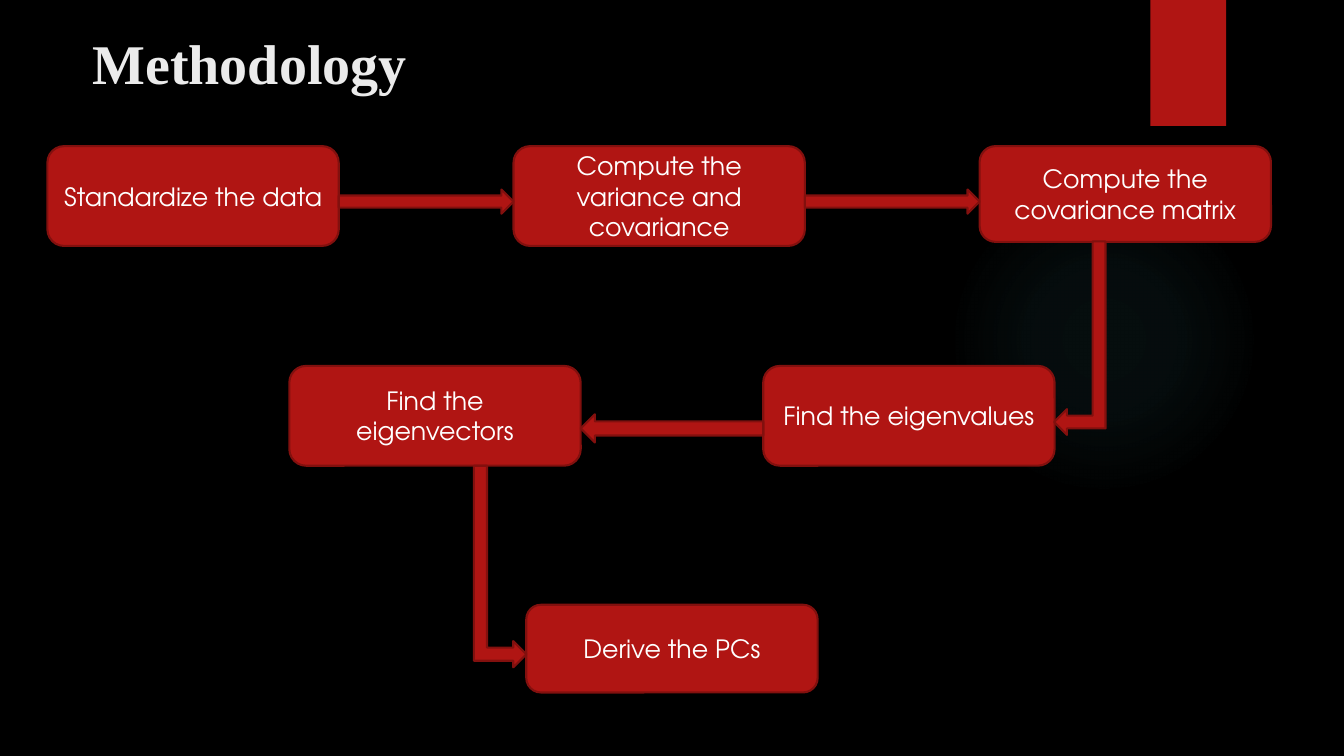
from lxml.etree import fromstring
from pptx import Presentation
from pptx.dml.color import RGBColor
from pptx.enum.shapes import MSO_SHAPE
from pptx.enum.text import MSO_ANCHOR, PP_ALIGN
from pptx.util import Inches, Pt

BLACK = RGBColor(0x00, 0x00, 0x00)
RED = RGBColor(0xB0, 0x15, 0x13)
DARK_RED = RGBColor(0x82, 0x10, 0x0E)
WHITE = RGBColor(0xFF, 0xFF, 0xFF)
PALE_GREY = RGBColor(0xEB, 0xEB, 0xEB)
GLOW_TEAL = RGBColor(0x50, 0xB9, 0xC1)

deck = Presentation()
deck.slide_width, deck.slide_height = Inches(13.33), Inches(7.5)
slide = deck.slides.add_slide(deck.slide_layouts[6])
slide.background.fill.solid()
slide.background.fill.fore_color.rgb = BLACK

# Grid of 100 columns by 100 rows
COLUMN, ROW = deck.slide_width / 100, deck.slide_height / 100


def grid(left, top, width, height):
    return [round(n * unit) for n, unit in
            zip((left, top, width, height), (COLUMN, ROW, COLUMN, ROW))]


def add_red(kind, left, top, width, height, outlined=True):
    shape = slide.shapes.add_shape(kind, *grid(left, top, width, height))
    shape.shadow.inherit = False
    shape.fill.solid()
    shape.fill.fore_color.rgb = RED
    if outlined:
        shape.line.color.rgb = DARK_RED
        shape.line.width = Pt(1.5)
    else:
        shape.line.fill.background()
    return shape


# Soft round glow: stops are (position, opacity) in percent
glow = add_red(MSO_SHAPE.OVAL, 70.59, 24.4, 23.11, 41.07, outlined=False)
stops = "".join(
    f'<a:gs pos="{position * 1000}"><a:srgbClr val="{GLOW_TEAL}">'
    f'<a:alpha val="{opacity * 1000}"/></a:srgbClr></a:gs>'
    for position, opacity in ((0, 7), (36, 6), (69, 0), (100, 0)))
gradient = fromstring(
    '<a:gradFill xmlns:a="http://schemas.openxmlformats.org/drawingml/2006/main">'
    f'<a:gsLst>{stops}</a:gsLst><a:path path="circle">'
    '<a:fillToRect l="50000" t="50000" r="50000" b="50000"/></a:path></a:gradFill>')
glow_properties = glow._element.spPr
glow_properties.replace(glow_properties.find("{*}solidFill"), gradient)

# Corner banner
add_red(MSO_SHAPE.RECTANGLE, 85.6, 0, 5.63, 16.67, outlined=False)

# Title
title = slide.shapes.add_textbox(*grid(6.15, 2.13, 86.27, 13.2)).text_frame
title.word_wrap = True
title.margin_top = round(1.6 * ROW)
title.text = "Methodology"
title_font = title.paragraphs[0].runs[0].font
title_font.name, title_font.size, title_font.bold = "Times New Roman", Pt(40), True
title_font.color.rgb = PALE_GREY

# Steps: wording, left, top, height
STEP_WIDTH, STEP_HEIGHT = 21.68, 13.2
FIRST_ROW, SECOND_ROW, THIRD_ROW = 19.33, 48.4, 80
first_lefts = [3.53 + 34.68 * n for n in range(3)]
vectors_left, values_left = 21.53, 56.79
steps = [
    ("Standardize the data", first_lefts[0], FIRST_ROW, STEP_HEIGHT),
    ("Compute the variance and covariance", first_lefts[1], FIRST_ROW, STEP_HEIGHT),
    ("Compute the covariance matrix", first_lefts[2], FIRST_ROW, 12.67),
    ("Find the eigenvectors", vectors_left, SECOND_ROW, STEP_HEIGHT),
    ("Find the eigenvalues", values_left, SECOND_ROW, STEP_HEIGHT),
    ("Derive the PCs", 39.16, THIRD_ROW, 11.6),
]
for wording, left, top, height in steps:
    step = add_red(MSO_SHAPE.ROUNDED_RECTANGLE, left, top, STEP_WIDTH, height).text_frame
    step.word_wrap = True
    step.vertical_anchor = MSO_ANCHOR.MIDDLE
    step.text = wording
    step.paragraphs[0].alignment = PP_ALIGN.CENTER
    step_font = step.paragraphs[0].runs[0].font
    step_font.name, step_font.size = "TeX Gyre Adventor", Pt(18)
    step_font.color.rgb = WHITE

# Straight arrows fill the gaps between neighbouring steps
for left, right, top, height, turn in (
        (first_lefts[0], first_lefts[1], 25.07, 3.2, 0),
        (first_lefts[1], first_lefts[2], 25.07, 3.2, 0),
        (vectors_left, values_left, 54.8, 3.73, 180)):
    start = left + STEP_WIDTH
    add_red(MSO_SHAPE.RIGHT_ARROW, start, top, right - start, height).rotation = turn

# Bent arrows lead down to the next row
to_eigenvalues = add_red(MSO_SHAPE.BENT_UP_ARROW, 73.14, 41.33, 14.4, 6.8)
to_eigenvalues.rotation = 270
to_eigenvalues._element.spPr.xfrm.set("flipH", "1")
to_components = add_red(MSO_SHAPE.BENT_UP_ARROW, 29.71, 71.47, 15, 6.93)
to_components.rotation = 90

deck.save("out.pptx")
